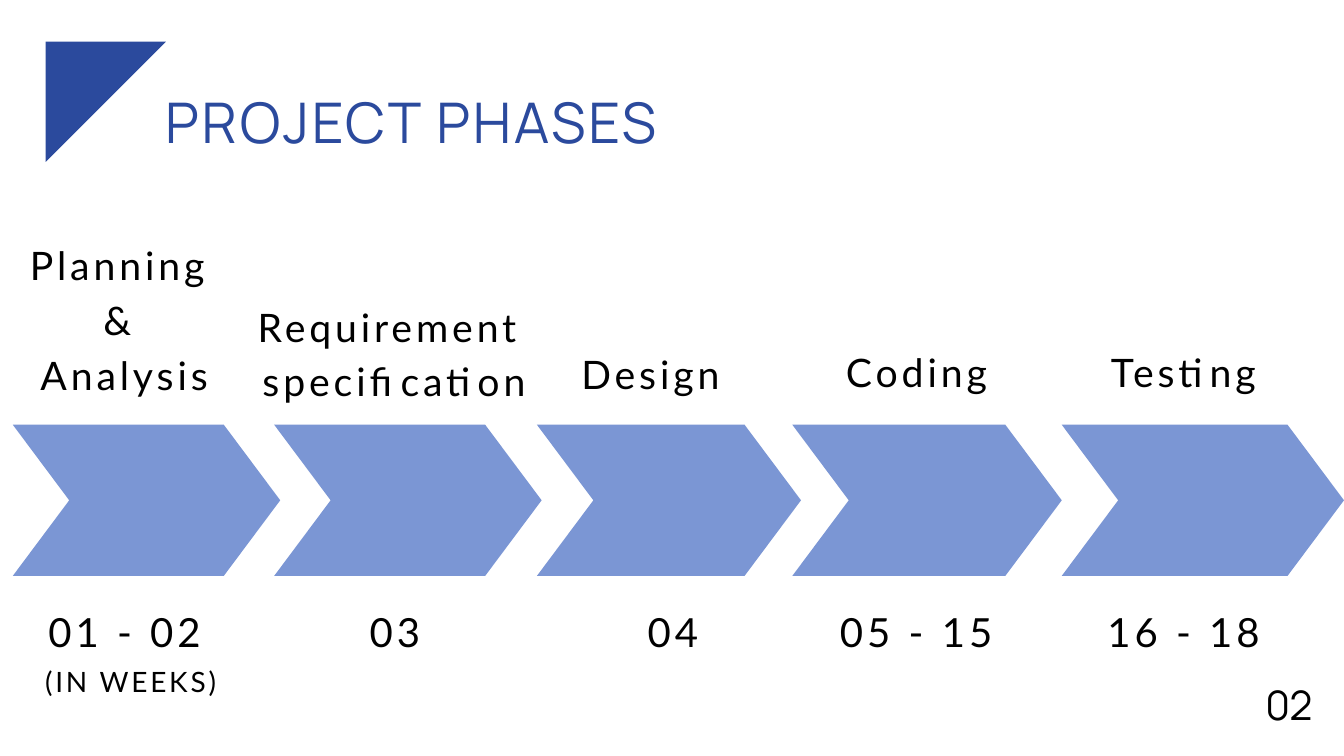
import pptx
import pptx.dml.color
import pptx.enum.shapes
import pptx.enum.text
import pptx.util

Inches = pptx.util.Inches
Pt = pptx.util.Pt
MSO_SHAPE = pptx.enum.shapes.MSO_SHAPE

NAVY, PERIWINKLE, BLACK = "2B4A9D", "7B96D4", "000000"

LABEL = {"name": "Lato", "size": Pt(42), "color": BLACK, "tracking": 4.2, "line": 58.8}
WEEKS = {"name": "Lato", "size": Pt(43), "color": BLACK, "tracking": 4.3, "line": 60.2}
UNIT = {"name": "Lato", "size": Pt(30), "color": BLACK, "tracking": 3, "line": 42}
TITLE = {"name": "Manrope", "size": Pt(60), "color": NAVY, "tracking": 3, "line": 63}
PAGE = {"name": "Manrope", "size": Pt(43.5), "color": BLACK, "tracking": -0.9, "line": 61}


def add_text(text, box, style, shape=None):
    """Write centred text into a given shape, or into a new text box."""
    left, top, width, height = map(Inches, box)
    if shape is None:
        shape = slide.shapes.add_textbox(left, top, width, height)
    shape.left, shape.top, shape.width, shape.height = left, top, width, height
    frame = shape.text_frame
    frame_format = {
        "margin_left": 0, "margin_right": 0, "margin_top": 0, "margin_bottom": 0,
        "word_wrap": True,
        "auto_size": pptx.enum.text.MSO_AUTO_SIZE.NONE,
        "vertical_anchor": pptx.enum.text.MSO_ANCHOR.TOP,
    }
    for name, value in frame_format.items():
        setattr(frame, name, value)
    frame.text = text
    for paragraph in frame.paragraphs:
        paragraph.alignment = pptx.enum.text.PP_ALIGN.CENTER
        paragraph.line_spacing = Pt(style["line"])
        for run in paragraph.runs:
            for name in ("name", "size"):
                setattr(run.font, name, style[name])
            run.font.color.rgb = pptx.dml.color.RGBColor.from_string(style["color"])
            run.font._element.set("spc", str(round(style["tracking"] * 100)))


def add_filled_shape(kind, box, color):
    shape = slide.shapes.add_shape(kind, *map(Inches, box))
    shape.shadow.inherit = False
    shape.fill.solid()
    shape.fill.fore_color.rgb = pptx.dml.color.RGBColor.from_string(color)
    shape.line.fill.background()
    return shape


presentation = pptx.Presentation()
presentation.slide_width = Inches(20)
presentation.slide_height = Inches(11.25)
slide = presentation.slides.add_slide(presentation.slide_layouts.get_by_name("Title Only"))

# Heading with its corner triangle
triangle = add_filled_shape(MSO_SHAPE.RIGHT_TRIANGLE, (0.68, 0.62, 1.79, 1.79), NAVY)
triangle.rotation = 90
add_text("PROJECT PHASES", (1.64, 1.43, 8.95, 0.98), TITLE, slide.shapes.title)

# Phases: chevron left and width, label and its box, weeks and their left and width
CHEVRON_TOP, CHEVRON_HEIGHT, CHEVRON_POINT = 6.32, 2.25, 0.84
WEEKS_TOP, WEEKS_HEIGHT = 8.92, 0.81
phases = [
    (0.19, 3.98, "Planning \n& \nAnalysis", (0, 3.48, 3.7, 2.39), "01 - 02", 0.7, 2.31),
    (4.08, 3.98, "Requirement \nspecification", (3.75, 4.39, 4.23, 1.6), "03", 5.47, 0.81),
    (7.99, 3.93, "Design", (8.6, 5.09, 2.16, 0.79), "04", 9.61, 0.81),
    (11.79, 4.01, "Coding", (12.54, 5.07, 2.2, 0.79), "05 - 15", 12.48, 2.31),
    (15.8, 4.2, "Testing", (16.44, 5.07, 2.34, 0.79), "16 - 18", 16.46, 2.31),
]
for left, width, label, label_box, weeks, weeks_left, weeks_width in phases:
    chevron = add_filled_shape(
        MSO_SHAPE.CHEVRON, (left, CHEVRON_TOP, width, CHEVRON_HEIGHT), PERIWINKLE)
    chevron.adjustments[0] = CHEVRON_POINT / CHEVRON_HEIGHT
    add_text(label, label_box, LABEL)
    add_text(weeks, (weeks_left, WEEKS_TOP, weeks_width, WEEKS_HEIGHT), WEEKS)

add_text("(IN WEEKS)", (0.63, 9.8, 2.63, 0.57), UNIT)
add_text("02", (18.82, 9.99, 0.72, 0.86), PAGE)

presentation.save("out.pptx")
